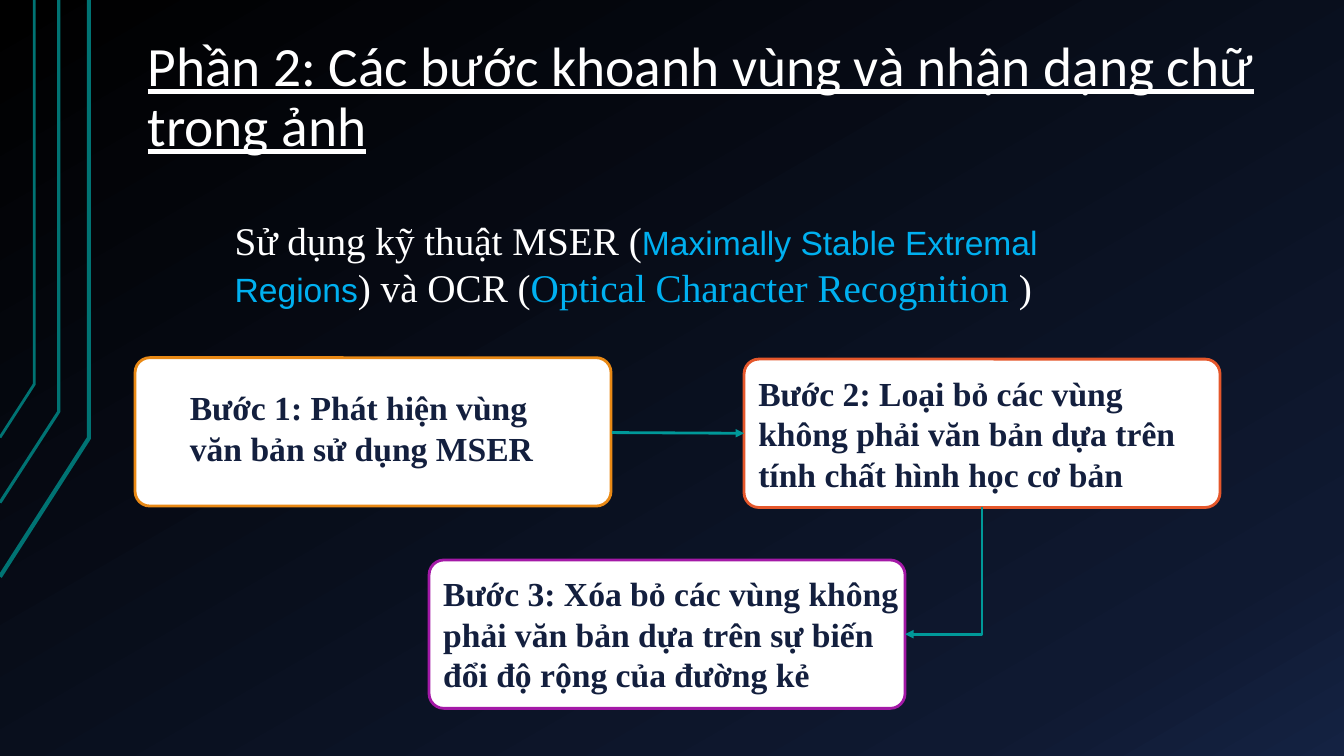
from copy import deepcopy

from lxml.etree import SubElement
from pptx import Presentation
from pptx.dml.color import RGBColor
from pptx.enum.shapes import MSO_CONNECTOR, MSO_SHAPE
from pptx.enum.text import MSO_ANCHOR, MSO_AUTO_SIZE, PP_ALIGN
from pptx.oxml.ns import qn
from pptx.util import Pt

HUES = {
    "white": "FFFFFF", "navy": "131F3E", "sky": "00B0F0",
    "trace": "007373", "arrow": "009999",
    "amber": "E98915", "purple": "A419A7", "orange": "E5572B",
    "black": "000000", "dusk": "0F1931", "deep": "142242",
}
SERIF = "Times New Roman"


def hue(name):
    return RGBColor.from_string(HUES[name])


class Board:
    def __init__(self, slide):
        self.slide = slide
        self.shapes = slide.shapes

    def ground(self, stops, angle):
        """Fill the background with (position, colour) stops; angle is clockwise."""
        fill = self.slide.background.fill
        fill.gradient()
        fill.gradient_angle = 360 - angle
        items = self.slide.element.find(".//" + qn("a:gsLst"))
        for _ in stops[2:]:
            items.append(deepcopy(items[0]))
        for stop, (place, name) in zip(fill.gradient_stops, stops):
            stop.position = place
            stop.color.rgb = hue(name)

    def font(self, target, size, face, name, bold=False):
        font = target.font
        font.size, font.name, font.bold = Pt(size), face, bold
        font.color.rgb = hue(name)

    def title(self, text, *area):
        shape = self.shapes.title
        shape.left, shape.top, shape.width, shape.height = map(Pt, area)
        frame = shape.text_frame
        frame.text = text
        frame.auto_size = MSO_AUTO_SIZE.NONE
        frame.vertical_anchor = MSO_ANCHOR.BOTTOM
        frame.margin_left = frame.margin_right = Pt(9.4)
        frame.margin_top = frame.margin_bottom = Pt(5)
        para = frame.paragraphs[0]
        para.alignment, para.line_spacing = PP_ALIGN.LEFT, 0.9
        self.font(para, 39.6, "Calibri", "white")
        para.font.underline = True

    def trace(self, points, width):
        start, *rest = [(Pt(x), Pt(y)) for x, y in points]
        pen = self.shapes.build_freeform(*start)
        pen.add_line_segments(rest, close=False)
        shape = pen.convert_to_shape()
        shape.shadow.inherit = False
        shape.fill.background()
        shape.line.color.rgb = hue("trace")
        shape.line.width = Pt(width)

    def text(self, *area):
        frame = self.shapes.add_textbox(*map(Pt, area)).text_frame
        frame.word_wrap = True
        return frame

    def intro(self, parts, *area):
        para = self.text(*area).paragraphs[0]
        para.space_before = para.space_after = Pt(6)
        for words, size, face, name in parts:
            run = para.add_run()
            run.text = words
            self.font(run, size, face, name)

    def label(self, frame, text):
        frame.text = text
        for para in frame.paragraphs:
            para.alignment = PP_ALIGN.LEFT
            self.font(para, 24, SERIF, "navy", True)

    def box(self, left, top, name):
        shape = self.shapes.add_shape(
            MSO_SHAPE.ROUNDED_RECTANGLE, Pt(left), Pt(top), Pt(340), Pt(106))
        shape.adjustments[0] = 0.1
        shape.shadow.inherit = False
        shape.fill.solid()
        shape.fill.fore_color.rgb = hue("white")
        shape.line.color.rgb = hue(name)
        shape.line.width = Pt(2)
        frame = shape.text_frame
        frame.word_wrap = True
        frame.vertical_anchor = MSO_ANCHOR.MIDDLE
        return frame

    def arrow(self, kind, *ends):
        link = self.shapes.add_connector(kind, *map(Pt, ends))
        link.line.color.rgb = hue("arrow")
        link.line.width = Pt(2)
        props = link.element.spPr
        SubElement(props.find(qn("a:ln")), qn("a:tailEnd"), type="triangle")
        SubElement(props, qn("a:effectLst"))
        return props

    def elbow(self, left, top, width, height):
        """Draw a one-bend arrow in a frame that is then turned a quarter clockwise."""
        props = self.arrow(MSO_CONNECTOR.ELBOW, left, top, left + width, top + height)
        props.find(qn("a:prstGeom")).set("prst", "bentConnector2")
        props.find(qn("a:xfrm")).set("rot", "5400000")


def main():
    deck = Presentation()
    deck.slide_width, deck.slide_height = Pt(960), Pt(540)
    board = Board(deck.slides.add_slide(deck.slide_layouts[5]))
    board.ground([(0, "black"), (0.85, "dusk"), (1, "deep")], 60)

    for x, low, bend, width in [
        (63.5, 412, 313, 3), (42, 359, 294, 2.25), (24.5, 312.5, 274.5, 2),
    ]:
        board.trace([(0, low), (x, bend), (x, 0)], width)

    board.title("Phần 2: Các bước khoanh vùng và nhận dạng chữ trong ảnh",
                96, 21.5, 816, 96.5)
    board.intro([
        ("Sử dụng kỹ thuật MSER (", 28, SERIF, "white"),
        ("Maximally Stable Extremal Regions", 24, "Arial", "sky"),
        (") và OCR (", 28, SERIF, "white"),
        ("Optical Character Recognition ", 28, SERIF, "sky"),
        (")", 28, SERIF, "white"),
    ], 160.5, 151, 686, 75)

    board.box(96.5, 255.5, "amber")
    board.box(306.5, 400, "purple")
    second = board.box(531.5, 256.5, "orange")
    board.label(second, "Bước 2: Loại bỏ các vùng không phải văn bản "
                        "dựa trên tính chất hình học cơ bản")
    board.arrow(MSO_CONNECTOR.STRAIGHT, 437, 309, 531.5, 309.5)
    board.label(board.text(128.5, 273, 323, 99),
                "Bước 1: Phát hiện vùng\nvăn bản sử dụng MSER")
    board.elbow(628.5, 380, 91, 55)
    board.label(board.text(309.5, 406, 345.5, 128),
                "Bước 3: Xóa bỏ các vùng không phải văn bản "
                "dựa trên sự biến đổi độ rộng của đường kẻ")
    deck.save("out.pptx")


if __name__ == "__main__":
    main()
